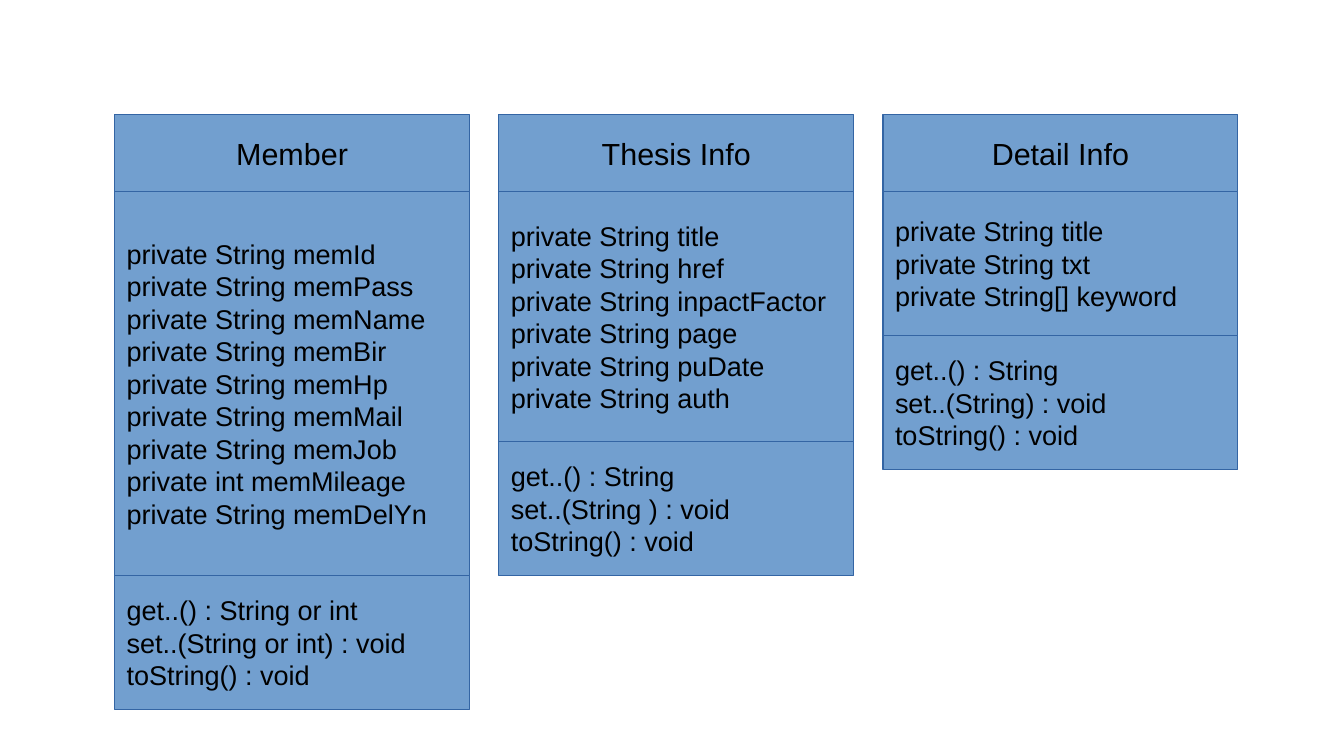
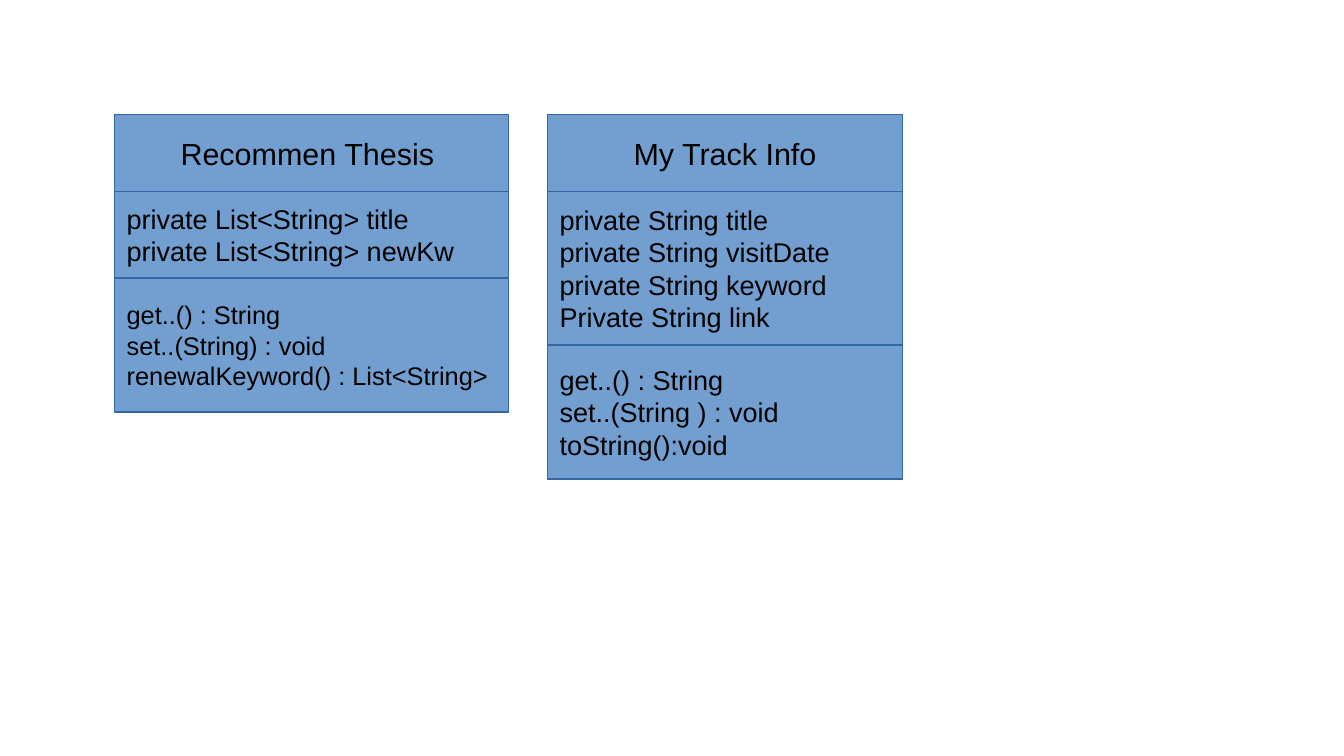
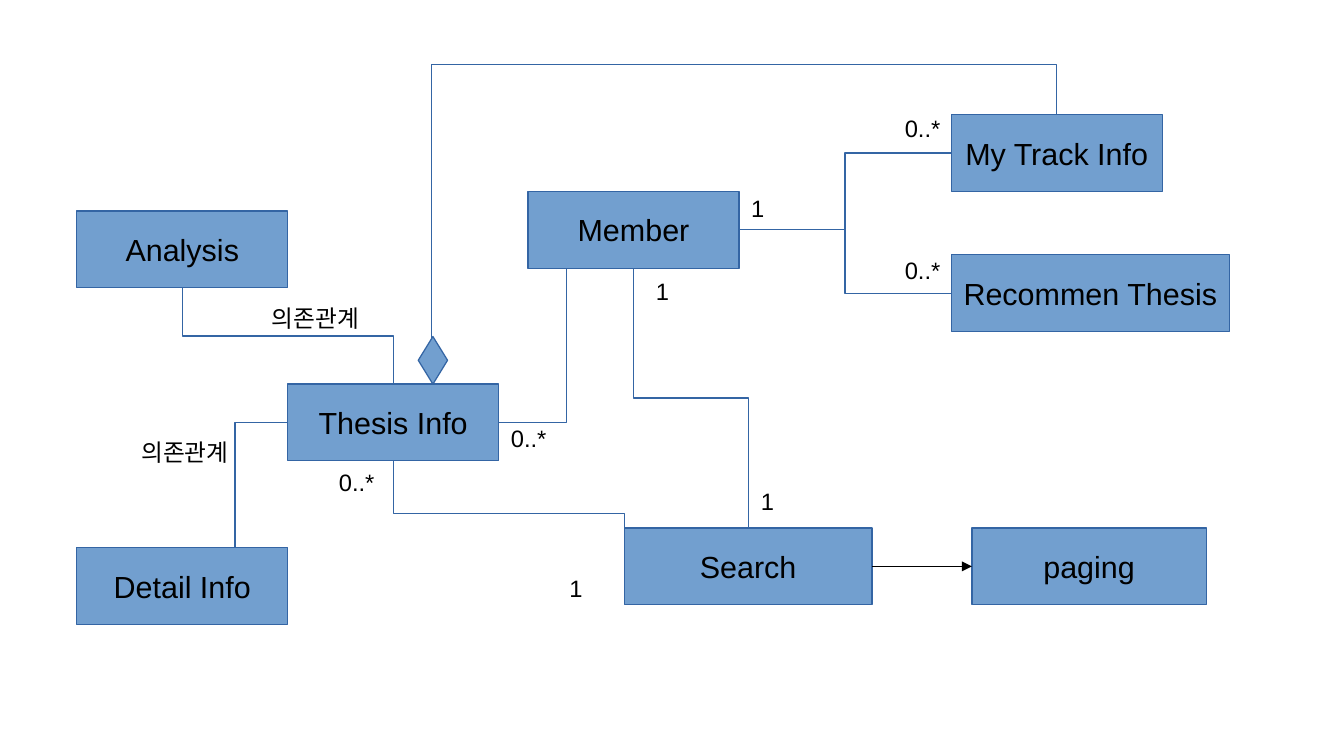
from lxml import etree
from pptx import Presentation
from pptx.dml.color import RGBColor
from pptx.enum.shapes import MSO_CONNECTOR, MSO_SHAPE
from pptx.enum.text import MSO_ANCHOR, PP_ALIGN
from pptx.oxml.ns import qn
from pptx.util import Inches, Pt

RECT, DIAMOND = MSO_SHAPE.RECTANGLE, MSO_SHAPE.DIAMOND
ELBOW, STRAIGHT = MSO_CONNECTOR.ELBOW, MSO_CONNECTOR.STRAIGHT
MIDDLE, TOP_ANCHOR = MSO_ANCHOR.MIDDLE, MSO_ANCHOR.TOP
LEFT, CENTER = PP_ALIGN.LEFT, PP_ALIGN.CENTER

FILL = RGBColor(0x72, 0x9F, 0xCF)
EDGE = RGBColor(0x34, 0x65, 0xA4)
BLACK = RGBColor(0, 0, 0)
FONT = "Arial"
LINE_WIDTH = 0.75
NAME_SIZE, MEMBER_SIZE, LABEL_SIZE = 18, 16, 14

MARGIN = 0.94
HEAD_H, METHODS_H, LABEL_H = 0.63, 1.1, 0.38

# Each class: name, width, height of fields, fields, methods, size of methods
CLASS_SLIDES = [
    (0.24, [
        ("Member", 2.91, 3.15,
         ["private String memId", "private String memPass",
          "private String memName", "private String memBir",
          "private String memHp", "private String memMail",
          "private String memJob", "private int memMileage",
          "private String memDelYn"],
         ["get..() : String or int", "set..(String or int) : void",
          "toString() : void"], MEMBER_SIZE),
        ("Thesis Info", 2.91, 2.05,
         ["private String title", "private String href",
          "private String inpactFactor", "private String page",
          "private String puDate", "private String auth"],
         ["get..() : String", "set..(String ) : void",
          "toString() : void"], MEMBER_SIZE),
        ("Detail Info", 2.91, 1.18,
         ["private String title", "private String txt",
          "private String[] keyword"],
         ["get..() : String", "set..(String) : void",
          "toString() : void"], MEMBER_SIZE),
    ]),
    (0.32, [
        ("Recommen Thesis ", 3.23, 0.71,
         ["private List<String> title", "private List<String> newKw"],
         ["get..() : String", "set..(String) : void",
          "renewalKeyword() : List<String>"], 15),
        ("My Track Info", 2.91, 1.26,
         ["private String title", "private String visitDate",
          "private String keyword", "Private String link"],
         ["get..() : String", "set..(String ) : void",
          "toString():void"], MEMBER_SIZE),
    ]),
]

# Name: left, top, width
NODES = {
    "Analysis": (0.63, 1.73, 1.73),
    "Search": (5.12, 4.33, 2.03),
    "paging": (7.97, 4.33, 1.92),
    "Member": (4.33, 1.57, 1.73),
    "Thesis Info": (2.36, 3.15, 1.73),
    "Detail Info": (0.63, 4.49, 1.73),
    "Recommen Thesis ": (7.8, 2.09, 2.28),
    "My Track Info": (7.8, 0.94, 1.73),
}

# Connection sites of a rectangle
TOP, WEST, BOTTOM, EAST = range(4)

# From node, site, to node, site, starts vertically
RELATIONS = [
    ("Analysis", BOTTOM, "Thesis Info", TOP, True),
    ("Thesis Info", WEST, "Detail Info", TOP, False),
    ("Thesis Info", EAST, "Member", BOTTOM, False),
    ("Thesis Info", BOTTOM, "Search", WEST, True),
    ("Member", BOTTOM, "Search", TOP, True),
    ("Member", EAST, "Recommen Thesis ", WEST, False),
    ("Member", EAST, "My Track Info", WEST, False),
]
AGGREGATE_END = (3.54, 3.11)
AGGREGATE_BEND = -18800
AGGREGATE_DIAMOND = (3.43, 2.76, 0.24, 0.39)

# Text, left, top, width
LABELS = [
    ("의존관계", 2.13, 2.44, 1.02),
    ("의존관계", 1.06, 3.54, 1.02),
    ("1", 5.28, 2.22, 0.39),
    ("0..*", 4.09, 3.43, 1.02),
    ("1", 4.57, 4.66, 0.55),
    ("0..*", 2.68, 3.79, 1.02),
    ("1", 6.14, 3.94, 0.55),
    ("1", 6.06, 1.54, 0.39),
    ("0..*", 7.32, 0.88, 0.59),
    ("0..*", 7.32, 2.05, 0.59),
]


def write(sp, lines, size, align=LEFT, anchor=MIDDLE):
    """Put one paragraph per line into a shape."""
    tf = sp.text_frame
    tf.word_wrap = True
    tf.vertical_anchor = anchor
    for i, line in enumerate(lines):
        p = tf.add_paragraph() if i else tf.paragraphs[0]
        p.alignment = align
        r = p.add_run()
        r.text = line
        r.font.color.rgb = BLACK
        for key, value in {"name": FONT, "size": Pt(size)}.items():
            setattr(r.font, key, value)


def add_box(s, box, kind=RECT):
    """Add a filled, outlined shape at left, top, width, height."""
    sp = s.shapes.add_shape(kind, *map(Inches, box))
    sp.shadow.inherit = False
    sp.fill.solid()
    sp.fill.fore_color.rgb = FILL
    sp.line.color.rgb = EDGE
    sp.line.width = Pt(LINE_WIDTH)
    return sp


def add_class(s, left, name, width, fields_h, fields, methods, methods_size):
    """Stack the name, fields and methods of one class."""
    top = MARGIN
    for lines, height, size, align in [
        ([name], HEAD_H, NAME_SIZE, CENTER),
        (fields, fields_h, MEMBER_SIZE, LEFT),
        (methods, METHODS_H, methods_size, LEFT),
    ]:
        write(add_box(s, (left, top, width, height)), lines, size, align)
        top += height


def site_point(name, site):
    """Return the place of a connection site on a node."""
    left, top, width = NODES[name]
    return {
        TOP: (left + width / 2, top),
        WEST: (left, top + HEAD_H / 2),
        BOTTOM: (left + width / 2, top + HEAD_H),
        EAST: (left + width, top + HEAD_H / 2),
    }[site]


def add_link(s, kind, start, end, color=EDGE):
    """Add a plain connector between two points."""
    cxn = s.shapes.add_connector(kind, *map(Inches, start + end))
    cxn.line.color.rgb = color
    cxn.line.width = Pt(LINE_WIDTH)
    etree.SubElement(cxn.element.spPr, qn("a:effectLst"))
    return cxn


def turn_vertical(cxn, start, end):
    """Turn a downward elbow so that it leaves its start vertically."""
    (x1, y1), (x2, y2) = start, end
    width, height = y2 - y1, abs(x2 - x1)
    cxn.left = Inches((x1 + x2 - width) / 2)
    cxn.top = Inches((y1 + y2 - height) / 2)
    cxn.width, cxn.height = Inches(width), Inches(height)
    rightward = x2 > x1
    xfrm = cxn.element.spPr.find(qn("a:xfrm"))
    xfrm.set("rot", "16200000" if rightward else "5400000")
    xfrm.set("flipH", "1" if rightward else "0")


def set_bend(cxn, value):
    """Place the middle segment of an elbow, in 1/100000 of its length."""
    geom = cxn.element.spPr.find(qn("a:prstGeom"))
    guides = geom.find(qn("a:avLst"))
    if guides is None:
        guides = etree.SubElement(geom, qn("a:avLst"))
    etree.SubElement(guides, qn("a:gd"), name="adj1", fmla=f"val {value}")


def add_arrow(s, start, end):
    """Add a black arrow with a triangular head."""
    cxn = add_link(s, STRAIGHT, start, end, BLACK)
    etree.SubElement(cxn.line._get_or_add_ln(), qn("a:tailEnd"), type="triangle")


def build_relations(s):
    """Draw the nodes, their links and the labels."""
    shapes = {}
    for name, (left, top, width) in NODES.items():
        shapes[name] = add_box(s, (left, top, width, HEAD_H))
        write(shapes[name], [name], NAME_SIZE, CENTER)

    for source, out_site, target, in_site, vertical in RELATIONS:
        start, end = site_point(source, out_site), site_point(target, in_site)
        cxn = add_link(s, ELBOW, start, end)
        if (out_site, in_site) in [(BOTTOM, TOP), (EAST, WEST)]:
            cxn.begin_connect(shapes[source], out_site)
            cxn.end_connect(shapes[target], in_site)
        if vertical:
            turn_vertical(cxn, start, end)
        set_bend(cxn, 50000)

    start = site_point("My Track Info", TOP)
    cxn = add_link(s, ELBOW, start, AGGREGATE_END)
    turn_vertical(cxn, start, AGGREGATE_END)
    set_bend(cxn, AGGREGATE_BEND)
    add_box(s, AGGREGATE_DIAMOND, DIAMOND)
    add_arrow(s, site_point("Search", EAST), site_point("paging", WEST))

    for text, left, top, width in LABELS:
        sp = s.shapes.add_textbox(*map(Inches, (left, top, width, LABEL_H)))
        write(sp, [text], LABEL_SIZE, anchor=TOP_ANCHOR)


prs = Presentation()
prs.slide_width, prs.slide_height = Inches(11.02), Inches(6.2)
blank = prs.slide_layouts[6]

for gap, classes in CLASS_SLIDES:
    s = prs.slides.add_slide(blank)
    left = MARGIN
    for name, width, *details in classes:
        add_class(s, left, name, width, *details)
        left += width + gap

build_relations(prs.slides.add_slide(blank))
prs.save("out.pptx")
